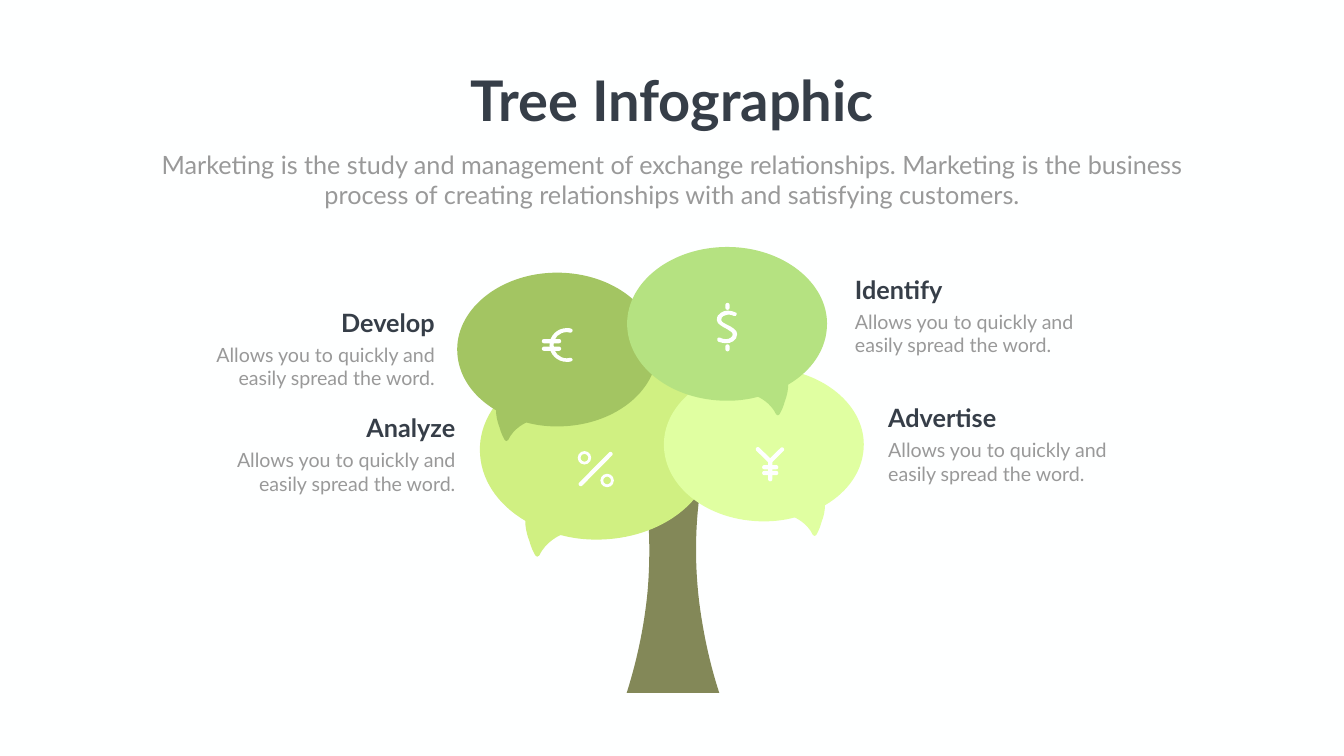
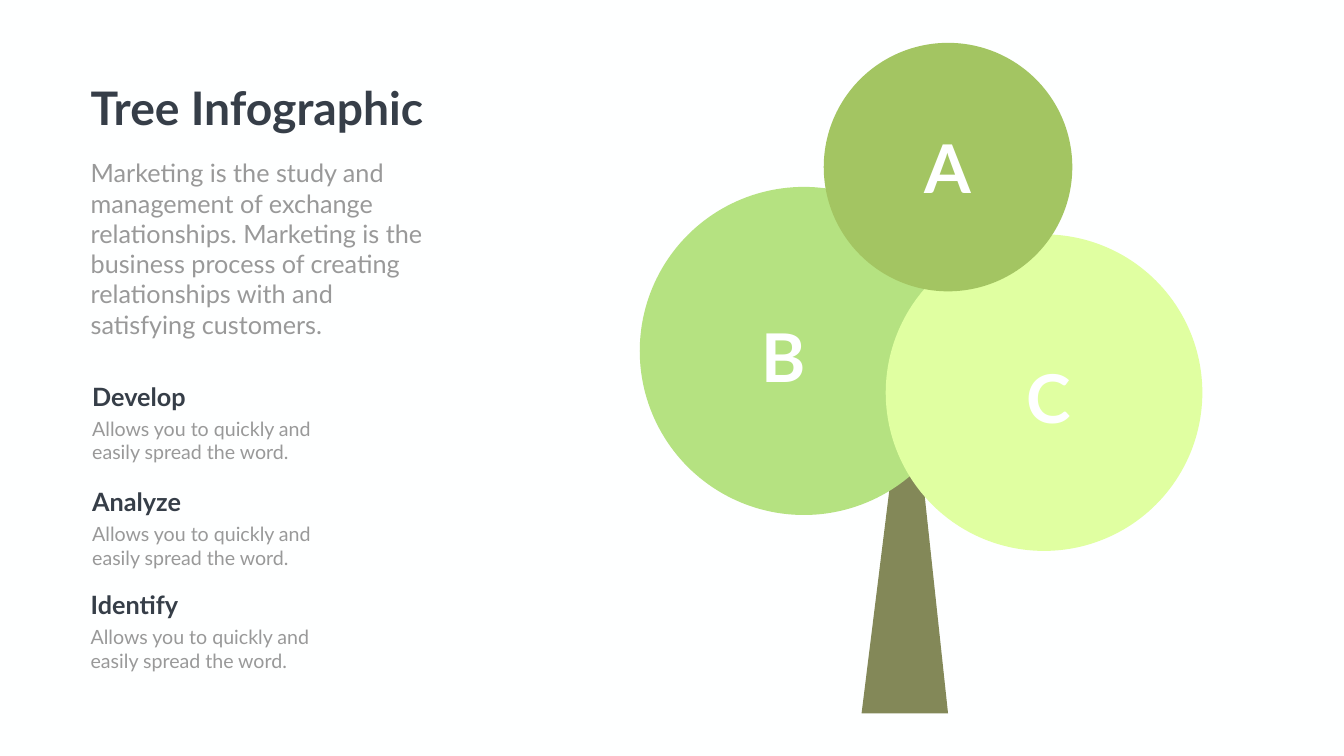
from math import atan2, degrees, hypot

from lxml import etree
from pptx import Presentation
from pptx.dml.color import RGBColor
from pptx.enum.shapes import MSO_SHAPE
from pptx.enum.text import MSO_AUTO_SIZE, PP_ALIGN
from pptx.oxml.ns import qn
from pptx.util import Pt

LEFT, CENTER, RIGHT = PP_ALIGN.LEFT, PP_ALIGN.CENTER, PP_ALIGN.RIGHT
OVAL, DONUT, ROUNDED = MSO_SHAPE.OVAL, MSO_SHAPE.DONUT, MSO_SHAPE.ROUNDED_RECTANGLE
GROW = MSO_AUTO_SIZE.SHAPE_TO_FIT_TEXT

COLORS = {
    "white": "FEFFFF", "dark": "363E48", "gray": "999999", "trunk": "838858",
    "olive": "A3C562", "green": "B5E281", "lime": "D0F082", "pale": "E0FFA1",
}
FONT = "Lato"
STROKE = 6

TITLE = "Tree Infographic"
INTRO = ("Marketing is the study and management of exchange relationships. "
         "Marketing is the business process of creating relationships with "
         "and satisfying customers.")
DETAIL = "Allows you to quickly and easily spread the word."

BUBBLE = [
    (0, 176), (0, 80, 104, 0, 231, 0), (360, 0, 463, 80, 463, 176),
    (463, 274, 360, 353, 231, 353), (206, 353, 183, 350, 160, 344),
    (160, 344, 131, 356, 118, 384), (116, 388, 111, 387, 110, 384),
    (106, 377, 101, 367, 98, 355), (92, 340, 90, 327, 90, 316),
    (35, 284, 0, 234, 0, 176),
]
CURVED_TRUNK = [
    (183, 400), (0, 400), (16, 349, 33, 282, 41, 202), (48, 123, 44, 54, 38, 0),
    (145, 0), (137, 58, 133, 131, 143, 217), (152, 289, 167, 351, 183, 400),
]
STRAIGHT_TRUNK = [
    (171, 596), (0, 596), (72, 16), (74, 7, 81, 0, 91, 0),
    (100, 0, 108, 7, 109, 17), (171, 596),
]
EURO_ARC = [
    (34, 67), (15, 67, 0, 52, 0, 34), (0, 15, 15, 0, 34, 0),
    (37, 0, 40, 0, 42, 1), (44, 1, 46, 4, 45, 6), (44, 8, 42, 10, 40, 9),
    (39, 9, 36, 8, 34, 8), (19, 8, 8, 19, 8, 34), (8, 48, 19, 60, 34, 60),
    (36, 60, 38, 59, 40, 59), (42, 58, 44, 60, 45, 62),
    (45, 64, 44, 66, 42, 66), (40, 67, 37, 67, 34, 67),
]
DOLLAR_CURVE = [
    (19, 66), (14, 66, 9, 65, 3, 63), (1, 62, 0, 59, 1, 57),
    (2, 55, 4, 54, 6, 55), (15, 59, 23, 59, 28, 55), (31, 53, 32, 52, 32, 48),
    (32, 44, 25, 41, 19, 37), (15, 35, 11, 33, 7, 30), (3, 28, 0, 24, 0, 20),
    (0, 13, 3, 8, 9, 5), (16, 0, 27, 0, 38, 5), (40, 5, 41, 7, 40, 9),
    (39, 12, 37, 13, 35, 12), (26, 8, 19, 8, 13, 12), (10, 14, 9, 16, 9, 20),
    (9, 24, 16, 27, 22, 30), (26, 32, 31, 34, 34, 37), (39, 40, 41, 44, 41, 48),
    (41, 54, 38, 59, 33, 62), (29, 65, 24, 66, 19, 66),
]


def rgb(name):
    return RGBColor.from_string(COLORS[name])


def write(tf, text, size=36, color="gray", bold=False, align=LEFT):
    p = tf.paragraphs[0]
    p.alignment = align
    r = p.add_run()
    r.text = text
    r.font.name = FONT
    r.font.size = Pt(size)
    r.font.bold = bold
    r.font.color.rgb = rgb(color)


def bend(sp, segments):
    for line, points in zip(list(sp.element.iter(qn("a:lnTo"))), segments):
        if len(points) == 1:
            continue
        curve = etree.Element(qn("a:cubicBezTo"))
        for x, y in points:
            etree.SubElement(curve, qn("a:pt"), x=str(x - sp.left), y=str(y - sp.top))
        line.getparent().replace(line, curve)


class Deck:
    def __init__(self, width, height):
        self.prs = Presentation()
        self.prs.slide_width, self.prs.slide_height = Pt(width), Pt(height)
        self.s = None

    def slide(self):
        self.s = self.prs.slides.add_slide(self.prs.slide_layouts[6])
        fill = self.s.background.fill
        fill.solid()
        fill.fore_color.rgb = rgb("white")

    def paint(self, sp, color):
        sp.shadow.inherit = False
        sp.fill.solid()
        sp.fill.fore_color.rgb = rgb(color)
        sp.line.fill.background()

    def outline(self, outline, x, y, w, h, color="white", flip=False):
        kx = w / max(seg[-2] for seg in outline)
        ky = h / max(seg[-1] for seg in outline)
        segments = [
            [(Pt(x + (w - px * kx if flip else px * kx)), Pt(y + py * ky))
             for px, py in zip(seg[::2], seg[1::2])]
            for seg in outline
        ]
        builder = self.s.shapes.build_freeform(*segments[0][0])
        builder.add_line_segments([seg[-1] for seg in segments[1:]], close=True)
        sp = builder.convert_to_shape()
        bend(sp, segments[1:])
        self.paint(sp, color)

    def shape(self, kind, x, y, w, h, color="white"):
        sp = self.s.shapes.add_shape(kind, Pt(x), Pt(y), Pt(w), Pt(h))
        self.paint(sp, color)
        return sp

    def stroke(self, x1, y1, x2, y2):
        w = hypot(x2 - x1, y2 - y1) + STROKE
        sp = self.shape(ROUNDED, (x1 + x2 - w) / 2, (y1 + y2 - STROKE) / 2, w, STROKE)
        sp.adjustments[0] = 0.5
        sp.rotation = degrees(atan2(y2 - y1, x2 - x1))

    def ring(self, x, y, size):
        self.shape(DONUT, x, y, size, size).adjustments[0] = 0.21

    def text(self, text, x, y, w, h, wrap=True, **fmt):
        tf = self.s.shapes.add_textbox(Pt(x), Pt(y), Pt(w), Pt(h)).text_frame
        tf.word_wrap = wrap
        tf.auto_size = GROW
        write(tf, text, **fmt)

    def item(self, heading, edge, y, align=LEFT):
        for text, top, w, h, fmt in (
            (heading, y, 188, 51, {"color": "dark", "bold": True}),
            (DETAIL, y + 51, 330.5, 75, {"size": 28}),
        ):
            x = edge - w if align == RIGHT else edge
            self.text(text, x, top, w, h, align=align, **fmt)


def bubble_tree(deck):
    deck.slide()
    deck.outline(CURVED_TRUNK, 895, 702, 132.3, 288, "trunk")
    for x, y, w, h, color, flip in (
        (685.4, 514, 333.4, 279.4, "lime", False),
        (653, 389.5, 285.8, 239, "olive", False),
        (948.2, 525.6, 285.5, 238.5, "pale", True),
        (895.7, 352.8, 285.5, 239, "green", True),
    ):
        deck.outline(BUBBLE, x, y, w, h, color, flip)

    for x, y in ((825.1, 644.4), (857.5, 676.8)):
        deck.ring(x, y, 19.2)
    deck.outline(EURO_ARC, 784.8, 468.7, 33, 48.3)
    deck.outline(DOLLAR_CURVE, 1023.8, 442.8, 29, 47.5)
    percent = [(829.4, 691.6, 871.9, 648.6)]
    euro = [(776.9, y, 798.5, y) for y in (487.4, 498.2)]
    dollar = [(1039, y, 1039, y + 4) for y in (435.6, 494.9)]
    yen = [(1082.3, 641.7, 1100, 658.9), (1116.9, 642.1, 1100, 658.9),
           (1100, 658.9, 1100, 684.6)]
    yen += [(1091.5, y, 1108.6, y) for y in (667.4, 675.8)]
    for line in percent + euro + dollar + yen:
        deck.stroke(*line)

    deck.text(TITLE, 653.8, 90, 612.7, 104.4, wrap=False, size=80,
              color="dark", bold=True, align=CENTER)
    deck.text(INTRO, 193, 209.5, 1533.6, 94.3, align=CENTER)
    for heading, edge, y, align in (
        ("Identify", 1214, 388, LEFT),
        ("Advertise", 1261.5, 571, LEFT),
        ("Develop", 628, 435, RIGHT),
        ("Analyze", 657.4, 586, RIGHT),
    ):
        deck.item(heading, edge, y, align)


def circle_tree(deck):
    deck.slide()
    deck.outline(STRAIGHT_TRUNK, 1230.5, 589.7, 123.5, 429.5, "trunk")
    for x, y, size, color in (
        (913.7, 267, 468.7, "green"),
        (1265, 334.8, 452.2, "pale"),
        (1176.5, 61.2, 355, "olive"),
    ):
        deck.shape(OVAL, x, y, size, size, color)
    for letter, x, y in (("A", 1312.6, 176.4), ("B", 1078.2, 447), ("C", 1456.5, 505.5)):
        deck.text(letter, x, y, 82, 123.8, wrap=False, size=96,
                  color="white", bold=True, align=CENTER)

    deck.text(TITLE, 122.4, 109.4, 522, 87, size=66, color="dark", bold=True)
    deck.text(INTRO, 122.4, 221.8, 503.3, 269.3)
    for heading, x, y in (("Develop", 124.6, 540.7), ("Analyze", 124.6, 691.2),
                          ("Identify", 122.4, 838.8)):
        deck.item(heading, x, y)


def main():
    deck = Deck(1919.5, 1080)
    bubble_tree(deck)
    circle_tree(deck)
    deck.prs.save("out.pptx")


if __name__ == "__main__":
    main()
